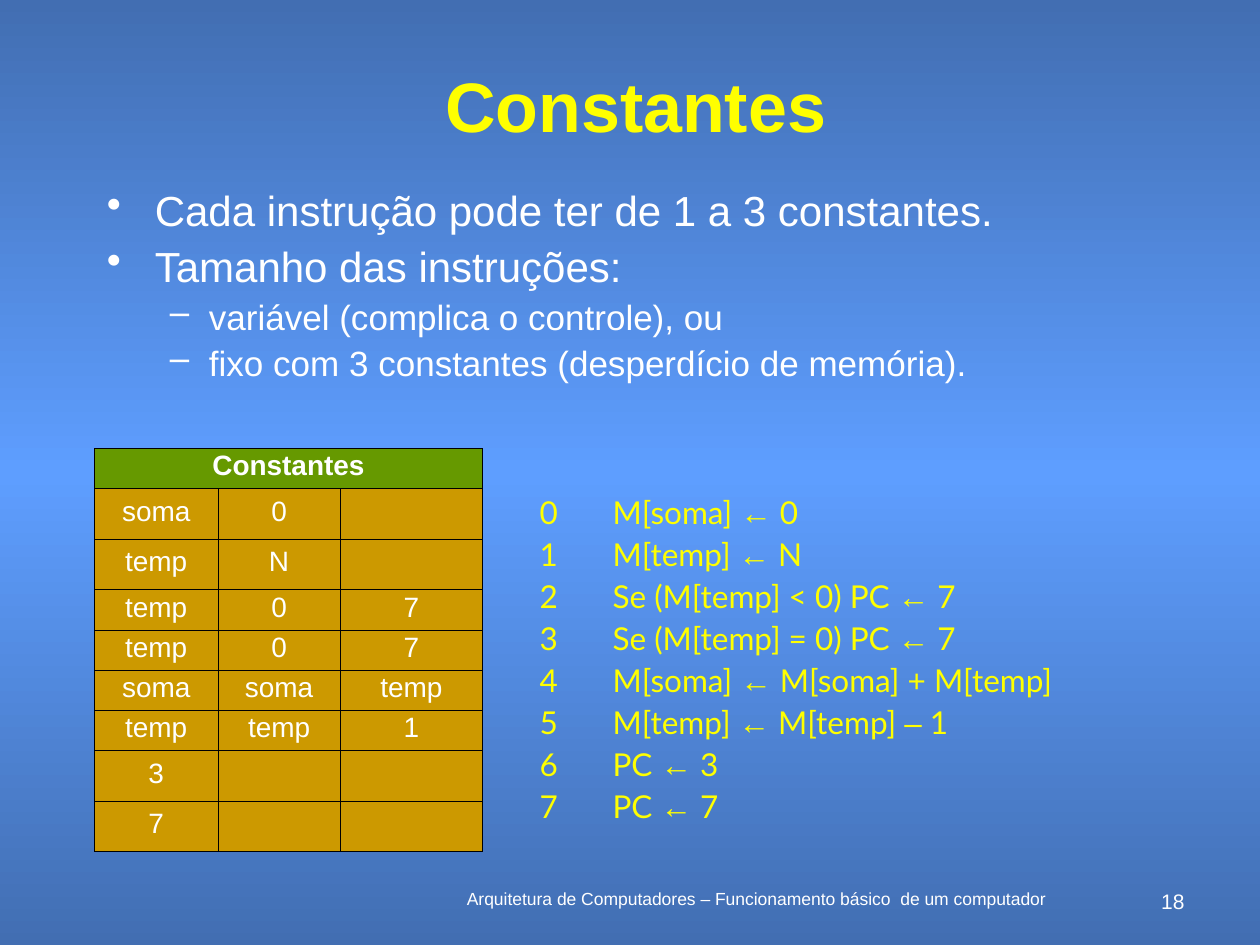
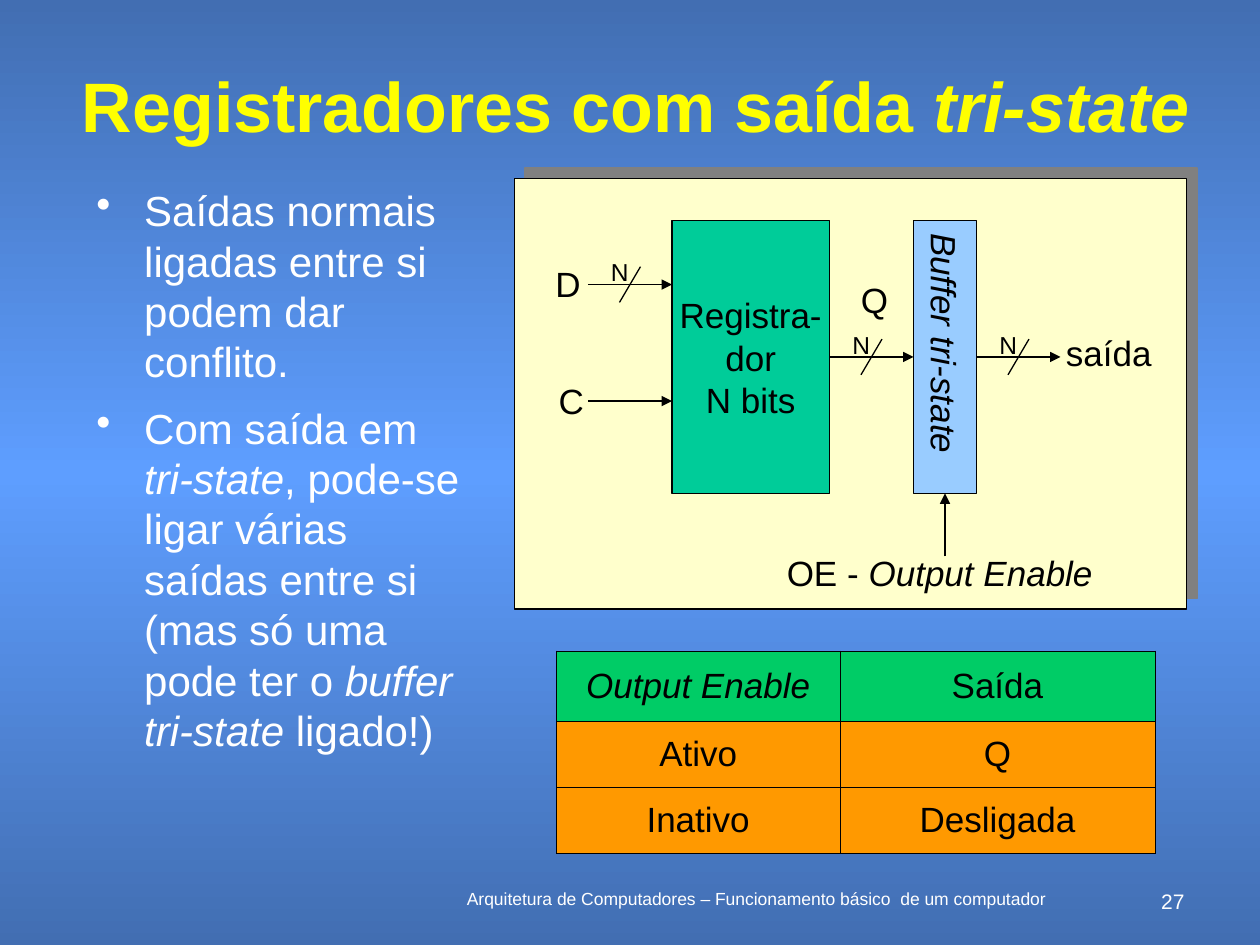
from copy import deepcopy
from dataclasses import dataclass
from itertools import groupby

from lxml.etree import SubElement
from pptx import Presentation
from pptx.dml.color import RGBColor
from pptx.enum.shapes import MSO_CONNECTOR, MSO_SHAPE
from pptx.enum.text import MSO_ANCHOR, MSO_AUTO_SIZE, PP_ALIGN
from pptx.oxml.ns import qn
from pptx.util import Emu, Inches, Pt

COLUMNS, ROWS = 120, 90  # the slide as a grid of square units
SLIDE_WIDTH, SLIDE_HEIGHT = Inches(10), Inches(7.5)
UNIT = SLIDE_WIDTH / COLUMNS


@dataclass(frozen=True)
class Theme:
    font: str = "Arial"
    code_font: str = "Lato"
    edge: str = "426EB2"
    glow: str = "5E9EFF"
    accent: str = "FFFF00"
    light: str = "FFFFFF"
    ink: str = "000000"
    shade: str = "808080"
    panel: str = "FFFFCC"
    register: str = "00CC99"
    buffer: str = "99CCFF"
    constants_head: str = "669900"
    constants_body: str = "CC9900"
    output_head: str = "00CC66"
    output_body: str = "FF9900"
    title: int = 40
    bullet: int = 24
    detail: int = 20
    code: int = 18
    cell: int = 16
    bus: int = 14
    page: int = 12
    footer: int = 10


THEME = Theme()
FOOTER = "Arquitetura de Computadores – Funcionamento básico  de um computador"
CENTERED = {"alignment": PP_ALIGN.CENTER}
MIDDLE = {"vertical_anchor": MSO_ANCHOR.MIDDLE}


# Basic helpers
def units(*lengths):
    return [Emu(round(length * UNIT)) for length in lengths]


def set_format(target, formats):
    for name, value in formats.items():
        setattr(target, name, value)


def add_run(paragraph, text, size, color, **formats):
    run = paragraph.add_run()
    run.text = text
    set_format(run.font, {"name": THEME.font, "size": Pt(size), **formats})
    run.font.color.rgb = RGBColor.from_string(color)


def write(paragraph, text, size, color, layout=CENTERED, **formats):
    """Write text in which *asterisks* enclose italics."""
    set_format(paragraph, layout)
    for index, part in enumerate(text.split("*")):
        if part:
            add_run(paragraph, part, size, color, italic=index % 2 == 1, **formats)


def paragraphs(frame, count):
    return [frame.paragraphs[0]] + [frame.add_paragraph() for _ in range(count - 1)]


def hang(paragraph, left, hanging):
    properties = paragraph._p.get_or_add_pPr()
    properties.set("marL", str(Inches(left)))
    properties.set("indent", str(-Inches(hanging)))
    return properties


def text_frame(slide, box, wrap=True):
    frame = slide.shapes.add_textbox(*units(*box)).text_frame
    frame.word_wrap = wrap
    return frame


# Shared slide parts
def paint_background(master):
    fill = master.background.fill
    fill.gradient()
    fill.gradient_angle = 270
    stops = master.element.xpath(".//p:bg//a:gsLst")[0]
    stops.append(deepcopy(stops[0]))
    colors = (THEME.edge, THEME.glow, THEME.edge)
    for index, (stop, color) in enumerate(zip(fill.gradient_stops, colors)):
        stop.position = index / 2
        stop.color.rgb = RGBColor.from_string(color)


def start_slide(deck, heading, page):
    slide = deck.slides.add_slide(deck.slide_layouts[5])
    title = slide.shapes.title
    left, top, width, height = units(6.25, 6, 108.6, 8)
    set_format(title, {"left": left, "top": top, "width": width, "height": height})
    set_format(title.text_frame, {**MIDDLE, "word_wrap": True,
                                  "auto_size": MSO_AUTO_SIZE.NONE})
    write(title.text_frame.paragraphs[0], heading, THEME.title, THEME.accent, bold=True)

    footer = text_frame(slide, (40, 84, 64, 3))
    write(footer.paragraphs[0], FOOTER, THEME.footer, THEME.light)
    number = text_frame(slide, (109, 84, 5, 2))
    write(number.paragraphs[0], str(page), THEME.page, THEME.light,
          {"alignment": PP_ALIGN.RIGHT})
    return slide


def add_bullets(slide, box, items, space):
    """Items are (level, text); space is the gap above the first level."""
    looks = [("•", THEME.bullet, 0.38, 0.38, space),
             ("–", THEME.detail, 0.81, 0.31, 2.5)]
    frame = text_frame(slide, box)
    for paragraph, (level, text) in zip(paragraphs(frame, len(items)), items):
        mark, size, left, hanging, before = looks[level]
        write(paragraph, text, size, THEME.light,
              {"level": level, "space_before": Pt(before)})
        properties = hang(paragraph, left, hanging)
        color = SubElement(properties, qn("a:buClr"))
        SubElement(color, qn("a:srgbClr"), val=THEME.light)
        SubElement(properties, qn("a:buChar"), char=mark)


# Tables
def set_borders(cell, width):
    properties = cell._tc.get_or_add_tcPr()
    for index, side in enumerate(("lnL", "lnR", "lnT", "lnB")):
        line = properties.makeelement(qn(f"a:{side}"), {"w": str(Pt(width))})
        fill = SubElement(line, qn("a:solidFill"))
        SubElement(fill, qn("a:srgbClr"), val=THEME.ink)
        properties.insert(index, line)


def add_grid(slide, corner, widths, heights, rows, fills, border, style, layout=CENTERED):
    """Widths and heights are in inches; fills are for the head and the body."""
    table = slide.shapes.add_table(
        len(rows), len(widths), *units(*corner),
        Inches(sum(widths)), Inches(sum(heights))).table
    set_format(table, {"first_row": False, "horz_banding": False})
    for column, width in zip(table.columns, widths):
        column.width = Inches(width)
    for r, (row, height) in enumerate(zip(rows, heights)):
        table.rows[r].height = Inches(height)
        for c in range(len(widths)):
            cell = table.cell(r, c)
            cell.vertical_anchor = MSO_ANCHOR.MIDDLE
            cell.fill.solid()
            cell.fill.fore_color.rgb = RGBColor.from_string(fills[min(r, 1)])
            set_borders(cell, border)
            if c < len(row):
                write(cell.text_frame.paragraphs[0], row[c], layout=layout,
                      bold=len(rows[0]) == 1 and r == 0, **style)
    if len(rows[0]) == 1:
        table.cell(0, 0).merge(table.cell(0, len(widths) - 1))


# Program listing
def add_listing(slide, box, statements):
    frame = text_frame(slide, box)
    for number, paragraph in enumerate(paragraphs(frame, len(statements))):
        set_format(paragraph, {"line_spacing": 0.9,
                               "space_before": Pt(4.5 if number else 2.2)})
        hang(paragraph, 0.58, 0.58)
        line = f"{number}\t{statements[number]}"
        for symbol, part in groupby(line, lambda letter: letter in "←–"):
            add_run(paragraph, "".join(part), THEME.code, THEME.accent,
                    name=THEME.font if symbol else THEME.code_font)


# Circuit diagram
def add_block(slide, box, color, lines=(), outline=0.75):
    block = slide.shapes.add_shape(MSO_SHAPE.RECTANGLE, *units(*box))
    block.shadow.inherit = False
    block.fill.solid()
    block.fill.fore_color.rgb = RGBColor.from_string(color)
    block.line.color.rgb = RGBColor.from_string(THEME.ink)
    block.line.width = Pt(outline)
    set_format(block.text_frame, {**MIDDLE, "word_wrap": False})
    if lines:
        for paragraph, text in zip(paragraphs(block.text_frame, len(lines)), lines):
            write(paragraph, text, THEME.detail, THEME.ink)
    return block


def cast_shadow(block):
    effects = block._element.spPr.find(qn("a:effectLst"))
    shadow = SubElement(effects, qn("a:outerShdw"), blurRad="0", dist=str(Pt(8.5)),
                        dir=str(315 * 60000), algn="ctr", rotWithShape="0")
    SubElement(shadow, qn("a:srgbClr"), val=THEME.shade)


def add_wire(slide, start, end, arrow=True):
    wire = slide.shapes.add_connector(MSO_CONNECTOR.STRAIGHT, *units(*start, *end))
    wire.line.color.rgb = RGBColor.from_string(THEME.ink)
    wire.line.width = Pt(0.75)
    if arrow:
        SubElement(wire.line._get_or_add_ln(), qn("a:tailEnd"), type="triangle")
    SubElement(wire._element.spPr, qn("a:effectLst"))


def add_label(slide, center, text, size=THEME.detail, width=5, height=5.3):
    x, y = center
    frame = text_frame(slide, (x - width / 2, y - height / 2, width, height), wrap=False)
    write(frame.paragraphs[0], text, size, THEME.ink)


def add_bus(slide, start, y, length=8):
    """An arrow with the slash and the N that mark N parallel lines."""
    middle = start + length / 2
    add_wire(slide, (start, y), (start + length, y))
    add_wire(slide, (middle + 1, y - 1.7), (middle - 1, y + 1.7), arrow=False)
    add_label(slide, (middle - 1, y - 1.2), "N", THEME.bus, 4, 4)


def add_circuit(slide):
    data_y, clock_y, output_y = 27.1, 38.2, 34
    cast_shadow(add_block(slide, (49, 17, 64, 41), THEME.panel))
    add_block(slide, (64, 21, 15, 26), THEME.register, ("Registra-", "dor", "N bits"))
    buffer = add_block(slide, (87, 21, 6, 26), THEME.buffer, ("*Buffer tri-state*",), 1)
    set_format(buffer.text_frame, {
        "margin_left": Inches(0.05), "margin_right": Inches(0.05),
        "margin_top": Inches(0.1), "margin_bottom": Inches(0.1)})
    buffer.text_frame._txBody.bodyPr.set("vert", "eaVert")

    for start, y in ((56, data_y), (79, output_y), (93, output_y)):
        add_bus(slide, start, y)
    add_wire(slide, (56, clock_y), (64, clock_y))
    add_wire(slide, (90, 53), (90, 47))

    add_label(slide, (54.1, data_y), "D")
    add_label(slide, (54.4, clock_y), "C")
    add_label(slide, (83.3, 28.6), "Q")
    add_label(slide, (105.6, 33.6), "saída", width=10.6)
    add_label(slide, (89.5, 54.6), "OE - *Output Enable*", width=31.6)


# Slides
def build_constants(deck):
    slide = start_slide(deck, "Constantes", 18)
    add_bullets(slide, (9, 17, 99, 22.3), [
        (0, "Cada instrução pode ter de 1 a 3 constantes."),
        (0, "Tamanho das instruções:"),
        (1, "variável (complica o controle), ou"),
        (1, "fixo com 3 constantes (desperdício de memória)."),
    ], space=3)

    operands = [("soma", "0"), ("temp", "N"), ("temp", "0", "7"), ("temp", "0", "7"),
                ("soma", "soma", "temp"), ("temp", "temp", "1"), ("3",), ("7",)]
    heights = [0.32] + [0.32 if len(row) == 3 else 0.37 for row in operands]
    add_grid(slide, (9, 42.7), (0.98, 0.97, 1.13), heights,
             [("Constantes",)] + operands,
             (THEME.constants_head, THEME.constants_body), 0.34,
             {"size": THEME.cell, "color": THEME.light},
             {**CENTERED, "line_spacing": 0.8})

    add_listing(slide, (50.2, 46.8, 58, 32.5), [
        "M[soma] ← 0",
        "M[temp] ← N",
        "Se (M[temp] < 0) PC ← 7",
        "Se (M[temp] = 0) PC ← 7",
        "M[soma] ← M[soma] + M[temp]",
        "M[temp] ← M[temp] – 1",
        "PC ← 3",
        "PC ← 7",
    ])


def build_registers(deck):
    slide = start_slide(deck, "Registradores com saída *tri-state*", 27)
    add_circuit(slide)
    add_grid(slide, (53, 62), (2.25, 2.5), (0.56, 0.52, 0.53),
             [("*Output Enable*", "Saída"), ("Ativo", "Q"), ("Inativo", "Desligada")],
             (THEME.output_head, THEME.output_body), 0.45,
             {"size": THEME.detail, "color": THEME.ink})
    add_bullets(slide, (8, 17, 37, 62), [
        (0, "Saídas normais ligadas entre si podem dar conflito."),
        (0, "Com saída em *tri-state*, pode-se ligar várias saídas entre si "
            "(mas só uma pode ter o *buffer tri-state* ligado!)"),
    ], space=9)


def main():
    deck = Presentation()
    set_format(deck, {"slide_width": SLIDE_WIDTH, "slide_height": SLIDE_HEIGHT})
    paint_background(deck.slide_master)
    build_constants(deck)
    build_registers(deck)
    deck.save("out.pptx")


if __name__ == "__main__":
    main()
